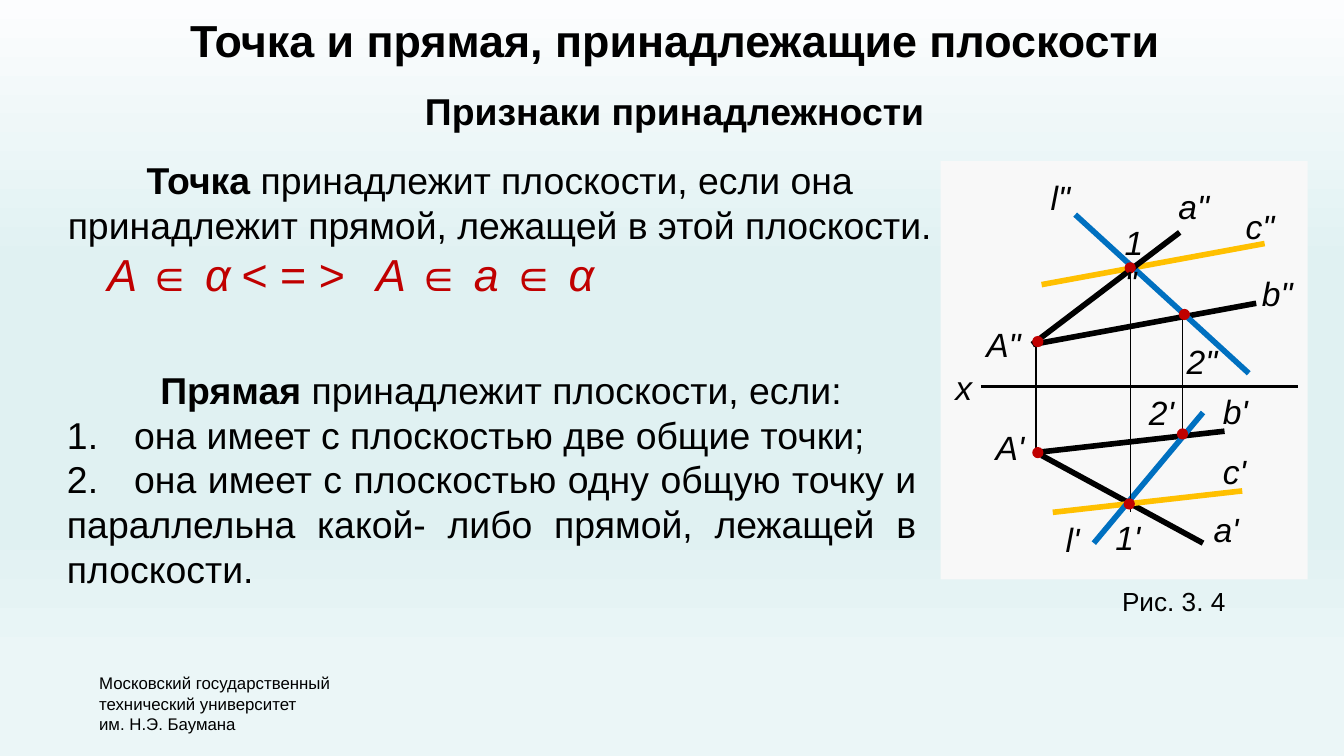
import pptx
import pptx.util
import pptx.dml.color
import pptx.enum.shapes
import pptx.enum.text
import pptx.oxml.ns
import pptx.oxml.xmlchemy

Pt = pptx.util.Pt
qn = pptx.oxml.ns.qn
make = pptx.oxml.xmlchemy.OxmlElement
ALIGN = pptx.enum.text.PP_ALIGN
SHAPE = pptx.enum.shapes.MSO_SHAPE
HUES = {"black": "000000", "red": "C00000", "blue": "0070C0",
        "gold": "FFC000", "panel": "F8F8F8"}
SKY = [(0, "FCFDFE"), (35, "E0F1F2"), (69, "E0F1F2"),
       (88, "EBF6F7"), (100, "EBF6F7")]

# Lines of the drawing: start x, y, end x, y, colour, width
LINES = [
    (558, 244, 644.5, 291, "black", 3),
    (554.5, 242.5, 656, 231, "black", 3),
    (558, 152.5, 677.5, 130.5, "gold", 3),
    (564, 274.5, 665.5, 263, "gold", 3),
    (644.5, 221, 586, 291, "blue", 3),
    (553.5, 184.5, 673, 162.5, "black", 3),
    (576, 115, 669, 200, "blue", 3),
    (633.5, 169, 633.5, 232.5, "black", 0.75),
    (605.5, 144, 605.5, 274.5, "black", 0.75),
    (525.5, 207.2, 695.5, 207.2, "black", 1.75),
    (555, 184.5, 555, 240, "black", 0.75),
    (553, 184.5, 632, 124.5, "black", 3),
]
# Centres of the marked points
DOTS = [(605, 270), (556, 183), (605.5, 143.5), (634.5, 168.5),
        (633.5, 232.5), (556, 242.5)]
# Labels: text, left, top, width
MARKS = [
    ("A'", 526.3, 225.4, 31.7), ('A"', 521.3, 170, 34.6),
    ('а"', 624.2, 95.8, 33.1), ('b"', 668.9, 142.6, 32.4),
    ("b'", 648, 206, 28.8), ("а'", 643, 269.3, 29.5),
    ("1'", 590.4, 273.6, 28.8), ("2'", 608.4, 206.6, 28.8),
    ('1"', 595.4, 115.2, 28.8), ('2"', 628.6, 179.3, 32.4),
    ('l"', 555.8, 91.4, 28.1), ("l'", 563.8, 274.3, 24.5),
    ("x", 504.7, 193, 23.8), ('с"', 660.2, 106.6, 31),
    ("с'", 648, 238.3, 27.4),
]


def rgb(name):
    return pptx.dml.color.RGBColor.from_string(HUES[name])


def write(para, text, size=20, hue="black", bold=False, italic=False):
    run = para.add_run()
    run.text = text
    font = run.font
    font.name, font.size = "Arial", Pt(size)
    font.bold, font.italic = bold, italic
    font.color.rgb = rgb(hue)


def frame(slide, left, top, width, height, wrap=True):
    box = slide.shapes.add_textbox(Pt(left), Pt(top), Pt(width), Pt(height))
    body = box.text_frame
    body.word_wrap = wrap
    body.auto_size = pptx.enum.text.MSO_AUTO_SIZE.SHAPE_TO_FIT_TEXT
    return body


def indent(para, left=0, first=0, number=False, tabs=()):
    props = para._p.get_or_add_pPr()
    props.set("marL", str(Pt(left)))
    props.set("indent", str(Pt(first)))
    if number:
        mark = make("a:buAutoNum")
        mark.set("type", "arabicPeriod")
        props.append(mark)
    if tabs:
        stops = make("a:tabLst")
        for pos in tabs:
            stop = make("a:tab")
            stop.set("pos", str(Pt(pos)))
            stop.set("algn", "l")
            stops.append(stop)
        props.append(stops)


def line(slide, x1, y1, x2, y2, hue, width):
    item = slide.shapes.add_connector(
        pptx.enum.shapes.MSO_CONNECTOR.STRAIGHT, Pt(x1), Pt(y1), Pt(x2), Pt(y2))
    item.line.color.rgb = rgb(hue)
    item.line.width = Pt(width)
    item._element.spPr.append(make("a:effectLst"))


def solid(slide, kind, left, top, width, height, hue):
    item = slide.shapes.add_shape(kind, Pt(left), Pt(top), Pt(width), Pt(height))
    item.shadow.inherit = False
    item.fill.solid()
    item.fill.fore_color.rgb = rgb(hue)
    item.line.fill.background()


def backdrop(slide):
    fill = slide.background.fill
    fill.gradient()
    fill.gradient_angle = 270
    stops = slide.element.find(".//" + qn("a:gsLst"))
    for old in list(stops):
        stops.remove(old)
    for pos, code in SKY:
        stop = make("a:gs")
        stop.set("pos", str(pos * 1000))
        tint = make("a:srgbClr")
        tint.set("val", code)
        stop.append(tint)
        stops.append(stop)


def header(slide):
    body = frame(slide, 3, 3, 717, 82)
    para = body.paragraphs[0]
    para.alignment = ALIGN.CENTER
    write(para, "Точка и прямая, принадлежащие плоскости", size=24, bold=True)
    para = body.add_paragraph()
    para.alignment = ALIGN.CENTER
    para.line_spacing = 1.5
    write(para, "Признаки принадлежности", bold=True)


def rules(slide):
    # Point in a plane, with its formula
    body = frame(slide, 14.4, 80.6, 507, 85)
    para = body.paragraphs[0]
    para.alignment = ALIGN.CENTER
    write(para, "Точка ", bold=True)
    write(para, "принадлежит плоскости, если она принадлежит прямой, "
                "лежащей в этой плоскости.")
    para = body.add_paragraph()
    indent(para, tabs=(164, 250.5, 325.5))
    for text, slant in [("\tA ", True), ("∈ ", False), ("α", True),
                        ("\t< = >", False), ("\tA ", True), ("∈ ", False),
                        ("а ", True), ("∈ ", False), ("α", True)]:
        write(para, text, size=24, hue="red", italic=slant)

    # Line in a plane
    body = frame(slide, 28.8, 193, 469.4, 128)
    para = body.paragraphs[0]
    indent(para, first=50)
    write(para, "Прямая", bold=True)
    write(para, " принадлежит плоскости, если:")
    para = body.add_paragraph()
    indent(para, left=36, first=-36, number=True)
    write(para, "она имеет с плоскостью две общие точки;")
    para = body.add_paragraph()
    indent(para, tabs=(35,))
    write(para, "2.\tона имеет с плоскостью одну общую точку и "
                "параллельна какой- либо прямой, лежащей в плоскости.")
    for para in body.paragraphs:
        para.alignment = ALIGN.JUSTIFY


def figure(slide):
    for item in LINES:
        line(slide, *item)
    for x, y in DOTS:
        solid(slide, SHAPE.OVAL, x - 3, y - 3, 6, 6, "red")
    for text, left, top, width in MARKS:
        body = frame(slide, left, top, width, 28.8, wrap=text[0] == "1")
        write(body.paragraphs[0], text, size=18, italic=True)
    body = frame(slide, 594, 310.3, 70.6, 24.5, wrap=False)
    write(body.paragraphs[0], "Рис. 3. 4", size=14)


def footer(slide):
    body = frame(slide, 46, 357, 142.6, 39.6, wrap=False)
    rows = ["Московский государственный", "технический университет",
            "им. Н.Э. Баумана"]
    for num, row in enumerate(rows):
        para = body.add_paragraph() if num else body.paragraphs[0]
        write(para, row, size=9)


def main():
    deck = pptx.Presentation()
    deck.slide_width, deck.slide_height = Pt(720), Pt(405)
    slide = deck.slides.add_slide(deck.slide_layouts[6])
    backdrop(slide)
    solid(slide, SHAPE.RECTANGLE, 504, 86.4, 196.6, 224, "panel")
    header(slide)
    rules(slide)
    footer(slide)
    figure(slide)
    deck.save("out.pptx")


if __name__ == "__main__":
    main()
